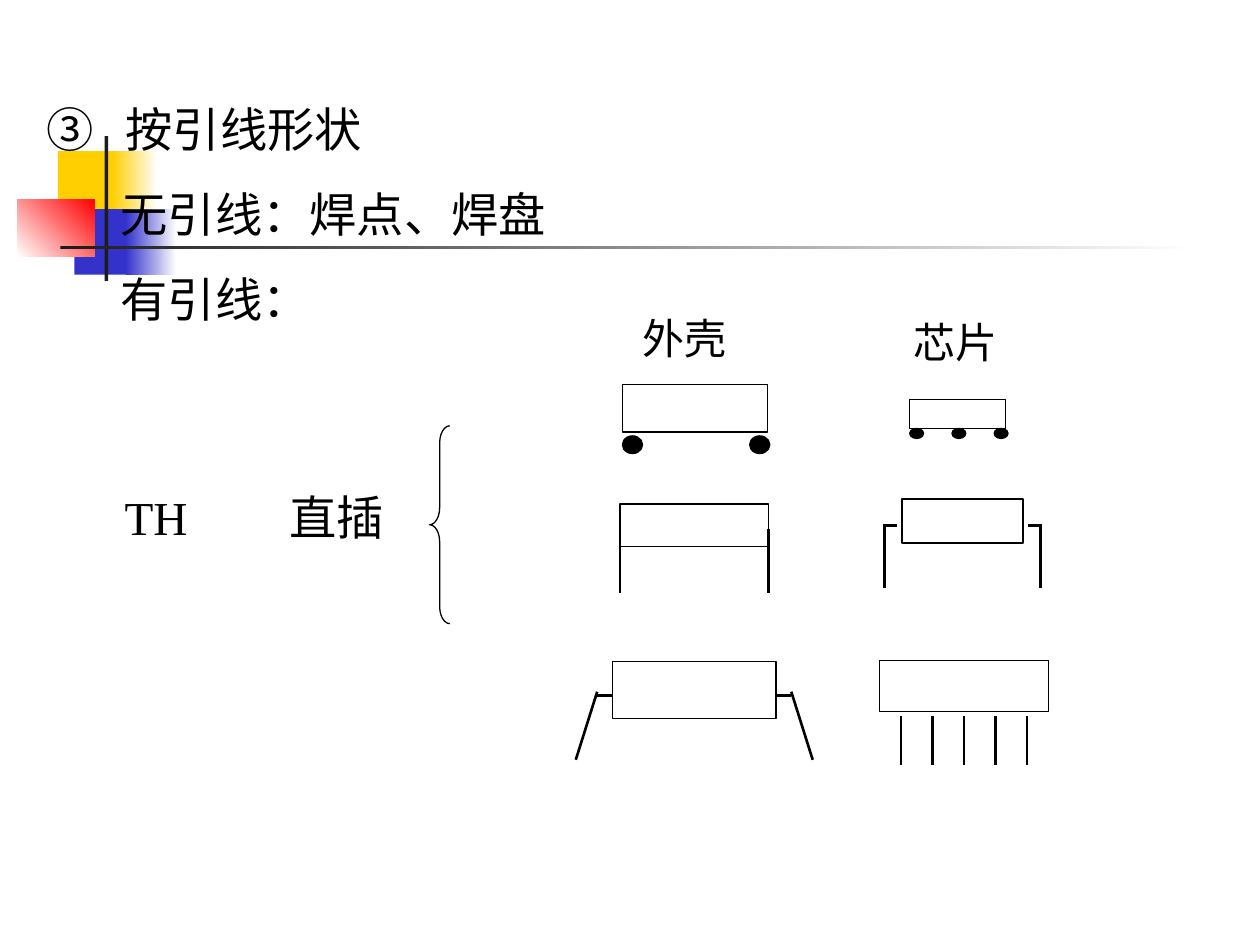
from dataclasses import dataclass

from lxml.etree import SubElement
from pptx import Presentation
from pptx.dml.color import RGBColor
from pptx.enum.shapes import MSO_CONNECTOR, MSO_SHAPE
from pptx.enum.text import MSO_ANCHOR
from pptx.oxml.ns import qn
from pptx.util import Inches, Pt


@dataclass(frozen=True)
class Theme:
    font: str = "Times New Roman"
    body_size: float = 27
    label_size: float = 24
    outline: float = 0.75
    lead: float = 1.5
    ink: str = "000000"
    paper: str = "FFFFFF"
    yellow: str = "FFCF01"
    blue: str = "3333CC"
    red: str = "FF0000"
    rule: str = "1C1C1C"


@dataclass(frozen=True)
class Box:
    left: float
    top: float
    width: float
    height: float

    def inner(self, dx, dy, width, height):
        return Box(self.left + dx, self.top + dy, width, height)

    def lengths(self):
        return [Inches(v) for v in (self.left, self.top, self.width, self.height)]


THEME = Theme()


def rgb(name):
    return RGBColor.from_string(name)


def add_preset(slide, kind, box, fill=None, outlined=False):
    shape = slide.shapes.add_shape(kind, *box.lengths())
    shape.shadow.inherit = False
    if fill:
        shape.fill.solid()
        shape.fill.fore_color.rgb = rgb(fill)
    else:
        shape.fill.background()
    if outlined:
        shape.line.color.rgb = rgb(THEME.ink)
        shape.line.width = Pt(THEME.outline)
    else:
        shape.line.fill.background()
    return shape


def add_fade(slide, box, start, end, angle=0):
    shape = add_preset(slide, MSO_SHAPE.RECTANGLE, box)
    shape.fill.gradient()
    shape.fill.gradient_angle = angle
    for stop, color in zip(shape.fill.gradient_stops, (start, end)):
        stop.color.rgb = rgb(color)


def add_lead(slide, x1, y1, x2, y2):
    lead = slide.shapes.add_connector(
        MSO_CONNECTOR.STRAIGHT, Inches(x1), Inches(y1), Inches(x2), Inches(y2))
    lead.line.color.rgb = rgb(THEME.ink)
    lead.line.width = Pt(THEME.lead)
    SubElement(lead._element.spPr, qn("a:effectLst"))


def add_text(slide, box, lines, size, anchor=MSO_ANCHOR.TOP, spacing=None):
    """Each line is (text, left indent, tab stop), the last two in inches."""
    frame = slide.shapes.add_textbox(*box.lengths()).text_frame
    frame.word_wrap = True
    frame.vertical_anchor = anchor
    for number, (text, indent, tab) in enumerate(lines):
        paragraph = frame.add_paragraph() if number else frame.paragraphs[0]
        paragraph.add_run().text = text
        properties = paragraph._p.get_or_add_pPr()
        properties.set("marL", str(Inches(indent)))
        if tab:
            stops = SubElement(properties, qn("a:tabLst"))
            SubElement(stops, qn("a:tab"), pos=str(Inches(tab)), algn="l")
        if spacing:
            paragraph.line_spacing = spacing
        paragraph.font.name = THEME.font
        paragraph.font.size = Pt(size)
        paragraph.font.color.rgb = rgb(THEME.ink)


def add_ornament(slide, box):
    # Coloured squares
    for dx, dy, solid, fade, color in (
            (0.32, 0.12, 0.48, 0.36, THEME.yellow),
            (0.45, 0.58, 0.46, 0.40, THEME.blue)):
        add_preset(slide, MSO_SHAPE.RECTANGLE, box.inner(dx, dy, solid, 0.52), color)
        add_fade(slide, box.inner(dx + solid - 0.05, dy, fade, 0.52), color, THEME.paper)
    add_fade(slide, box.inner(0, 0.5, 0.61, 0.46), THEME.paper, THEME.red, 45)
    # Crossing rules
    add_preset(slide, MSO_SHAPE.RECTANGLE,
               box.inner(0.69, 0, 0.03, box.height), THEME.rule)
    add_fade(slide, box.inner(0.34, 0.87, box.width - 0.34, 0.03), THEME.rule, THEME.paper)


def add_heading(slide, box):
    lines = [("③\t按引线形状", 0, 0.63),
             ("无引线：焊点、焊盘", 0.59, None),
             ("有引线：", 0.59, None)]
    add_text(slide, box, lines, THEME.body_size, MSO_ANCHOR.MIDDLE, 1.5)


def add_mounting_type(slide, box):
    add_text(slide, box, [("TH\t直插", 0, 1.31)], THEME.body_size, MSO_ANCHOR.MIDDLE)
    brace = add_preset(slide, MSO_SHAPE.LEFT_BRACE,
                       box.inner(2.52, -0.22, 0.16, 1.57), outlined=True)
    brace.adjustments[0] = 0.85


def add_body(slide, box):
    add_preset(slide, MSO_SHAPE.RECTANGLE, box, THEME.paper, outlined=True)


def add_ball_package(slide, box, count, ball_width, ball_height, gap):
    add_body(slide, box)
    pitch = (box.width + 0.02 - ball_width) / (count - 1)
    for i in range(count):
        ball = box.inner(i * pitch, box.height + gap, ball_width, ball_height)
        add_preset(slide, MSO_SHAPE.FLOWCHART_CONNECTOR, ball, THEME.ink, outlined=True)


def add_side_lead_package(slide, box, segments):
    """Segments run outward from the side and down from the top, mirrored."""
    add_body(slide, box)
    for edge, side in ((box.left, -1), (box.left + box.width, 1)):
        for out1, down1, out2, down2 in segments:
            add_lead(slide, edge + side * out1, box.top + down1,
                     edge + side * out2, box.top + down2)


def add_pin_package(slide, box, count):
    add_body(slide, box)
    for i in range(count):
        x = box.left + 0.17 + i * 0.25
        add_lead(slide, x, box.top + 0.44, x, box.top + 0.83)


def add_shell_column(slide, box):
    add_text(slide, box.inner(0.14, 0, 0.95, 0.5), [("外壳", 0, None)], THEME.label_size)
    add_ball_package(slide, box.inner(0.08, 0.62, 1.15, 0.38), 2, 0.16, 0.14, 0.03)
    add_side_lead_package(slide, box.inner(0.06, 1.57, 1.18, 0.34), [(0, 0.2, 0, 0.71)])
    add_side_lead_package(slide, box.inner(0, 2.82, box.width, 0.45),
                          [(0, 0.27, 0.12, 0.27), (0.12, 0.24, 0.29, 0.78)])


def add_chip_column(slide, box):
    add_text(slide, box.inner(0.17, 0, 0.95, 0.5), [("芯片", 0, None)], THEME.label_size)
    add_ball_package(slide, box.inner(0.24, 0.71, 0.76, 0.23), 3, 0.11, 0.08, 0)
    add_side_lead_package(slide, box.inner(0.18, 1.5, 0.96, 0.35),
                          [(0.04, 0.21, 0.15, 0.21), (0.14, 0.22, 0.14, 0.71)])
    add_pin_package(slide, box.inner(0, 2.78, box.width, 0.41), 5)


def main():
    deck = Presentation()
    deck.slide_width, deck.slide_height = Inches(10), Inches(7.5)
    slide = deck.slides.add_slide(deck.slide_layouts[6])
    add_ornament(slide, Box(0.14, 1.08, 9.34, 1.15))
    add_heading(slide, Box(0.27, 0.18, 5.63, 2.81))
    add_mounting_type(slide, Box(0.89, 3.6, 3.7, 1))
    add_shell_column(slide, Box(4.86, 2.43, 1.3, 3.6))
    add_chip_column(slide, Box(6.98, 2.46, 1.34, 3.6))
    deck.save("out.pptx")


if __name__ == "__main__":
    main()
